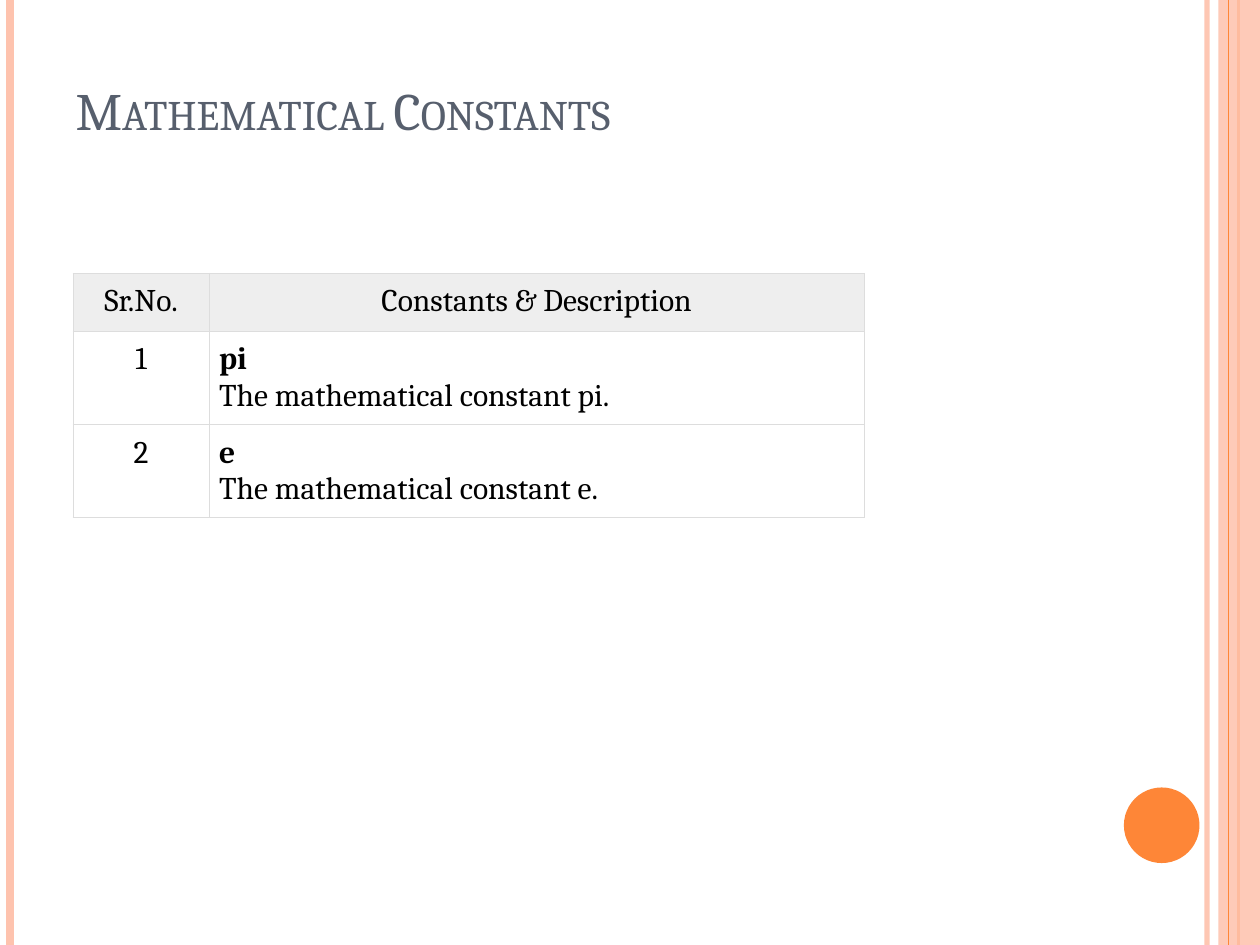
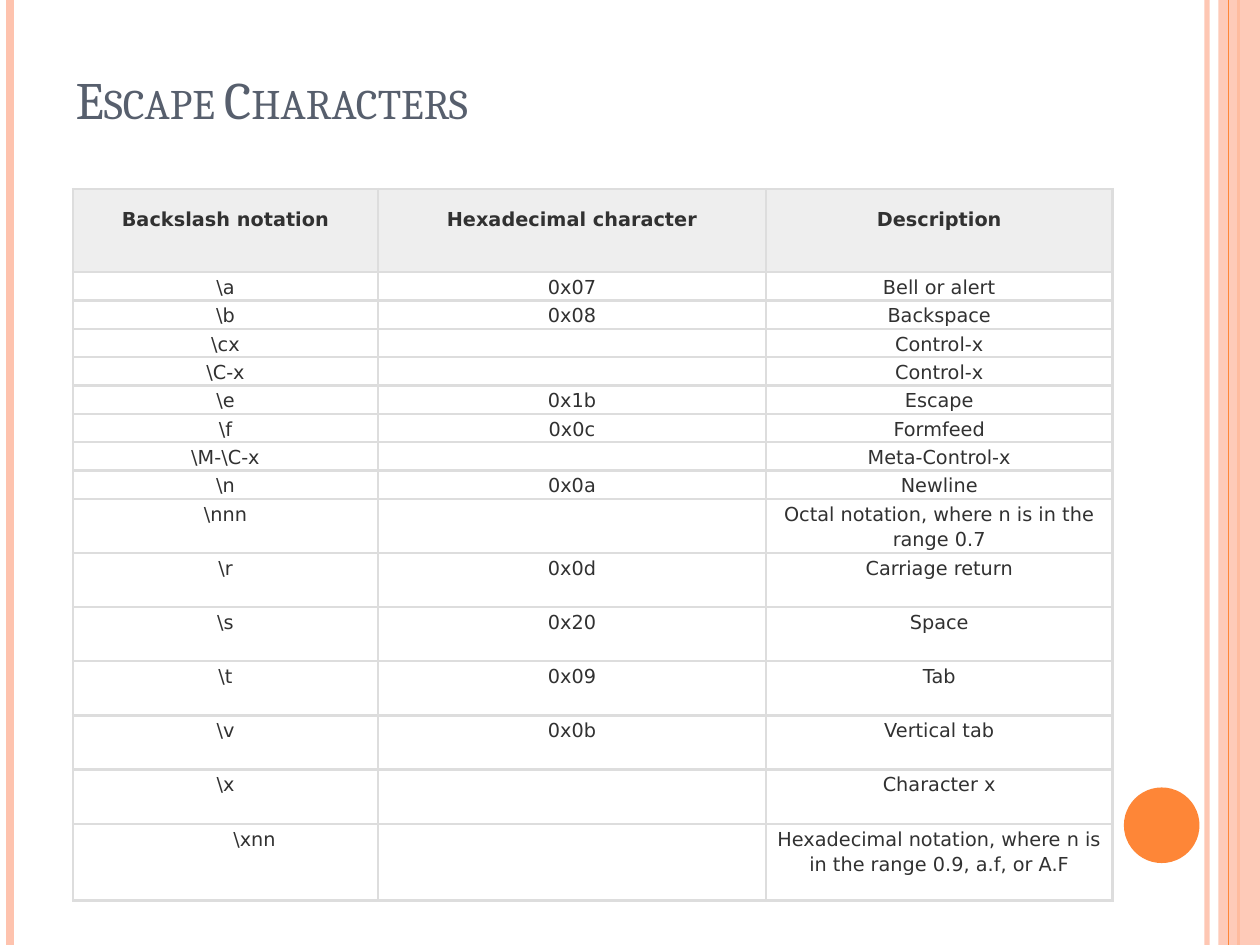
from lxml.etree import SubElement
from pptx import Presentation
from pptx.dml.color import RGBColor
from pptx.enum.shapes import MSO_CONNECTOR, MSO_SHAPE
from pptx.enum.text import MSO_ANCHOR, MSO_AUTO_SIZE, PP_ALIGN
from pptx.oxml.ns import qn
from pptx.util import Inches, Pt

COLORS = {
    "title": "575F6D",
    "band": "FEC3AE",
    "accent": "FE8637",
    "header": "EEEEEE",
    "border": "DDDDDD",
    "black": "000000",
    "body": "313131",
}
SERIF = "Cambria"
SANS = "DejaVu Sans"

CONSTANTS = [
    ("Sr.No.", "Constants & Description"),
    ("1", ["pi", "The mathematical constant pi."]),
    ("2", ["e", "The mathematical constant e."]),
]

ESCAPES = [
    ("Backslash notation", "Hexadecimal character", "Description"),
    (r"\a", "0x07", "Bell or alert"),
    (r"\b", "0x08", "Backspace"),
    (r"\cx", "", "Control-x"),
    (r"\C-x", "", "Control-x"),
    (r"\e", "0x1b", "Escape"),
    (r"\f", "0x0c", "Formfeed"),
    (r"\M-\C-x", "", "Meta-Control-x"),
    (r"\n", "0x0a", "Newline"),
    (r"\nnn", "", "Octal notation, where n is in the range 0.7"),
    (r"\r", "0x0d", "Carriage return"),
    (r"\s", "0x20", "Space"),
    (r"\t", "0x09", "Tab"),
    (r"\v", "0x0b", "Vertical tab"),
    (r"\x", "", "Character x"),
    (r"\xnn", "", "Hexadecimal notation, where n is in the range 0.9, a.f, or A.F"),
]


def rgb(name):
    return RGBColor.from_string(COLORS[name])


def set_opacity(sp, percent):
    """Make every solid colour of a shape or line partly transparent."""
    for color in sp.element.spPr.iter(qn("a:srgbClr")):
        SubElement(color, qn("a:alpha"), val=str(percent * 1000))


class Deck:
    """Holds the shared style and the slide being built."""

    def __init__(self):
        self.prs = Presentation()
        self.prs.slide_width, self.prs.slide_height = Inches(10), Inches(7.5)
        self.layout = self.prs.slide_layouts[5]
        self.slide = None

    def add_slide(self, title, title_height):
        first = self.slide is None
        self.slide = self.prs.slides.add_slide(self.layout)
        if first:
            self.decorate_layout()
        self.title(title, title_height)

    def decorate_layout(self):
        """Draw the side bands and the disc, then move them to the layout."""
        for sp in list(self.layout.placeholders)[1:]:
            sp.element.getparent().remove(sp.element)
        decor = [
            self.vertical_line(9.58, "band", 3, 93),
            self.vertical_line(0.08, "band", 4.5),
            self.vertical_line(9.83, "accent", 1.5),
            self.shape(MSO_SHAPE.RECTANGLE, 9.67, 0, 0.33, 7.5, "band", 87),
            self.vertical_line(9.75, "accent", 0.75),
            self.shape(MSO_SHAPE.OVAL, 8.92, 6.25, 0.6, 0.6, "accent"),
        ]
        for sp in decor:
            self.layout.shapes.element.append(sp.element)

    def vertical_line(self, x, color, width, opacity=100):
        line = self.slide.shapes.add_connector(
            MSO_CONNECTOR.STRAIGHT, Inches(x), 0, Inches(x), Inches(7.5))
        line.line.color.rgb = rgb(color)
        line.line.width = Pt(width)
        if opacity < 100:
            set_opacity(line, opacity)
        SubElement(line.element.spPr, qn("a:effectLst"))
        return line

    def shape(self, kind, x, y, w, h, color, opacity=100):
        sp = self.slide.shapes.add_shape(
            kind, Inches(x), Inches(y), Inches(w), Inches(h))
        sp.shadow.inherit = False
        sp.fill.solid()
        sp.fill.fore_color.rgb = rgb(color)
        sp.line.fill.background()
        if opacity < 100:
            set_opacity(sp, opacity)
        return sp

    def run(self, p, text, size, font, color, bold=False):
        r = p.add_run()
        r.text = text
        r.font.size, r.font.name, r.font.bold = Pt(size), font, bold
        r.font.color.rgb = rgb(color)
        return r

    def title(self, text, height):
        sp = self.slide.shapes.title
        sp.left, sp.top = Inches(0.5), Inches(0.3)
        sp.width, sp.height = Inches(8.17), Inches(height)
        tf = sp.text_frame
        tf.vertical_anchor = MSO_ANCHOR.BOTTOM
        tf.auto_size = MSO_AUTO_SIZE.NONE
        p = tf.paragraphs[0]
        p.alignment = PP_ALIGN.LEFT
        r = self.run(p, text, 30, SERIF, "title")
        r._r.get_or_add_rPr().set("cap", "small")

    def table(self, rows, top, widths, heights, border, inset, text_style,
              header_inset=None, bold_header=False, line_spacing=None, space_after=None):
        """Add a table; a list in a cell is a bold term followed by its explanation."""
        table = self.slide.shapes.add_table(
            len(rows), len(widths), Inches(0.58), Inches(top),
            Inches(sum(widths)), Inches(sum(heights))).table
        table.first_row = table.horz_banding = False
        for column, width in zip(table.columns, widths):
            column.width = Inches(width)
        for i, (row, height) in enumerate(zip(rows, heights)):
            table.rows[i].height = Inches(height)
            margin = header_inset if i == 0 and header_inset else inset
            for j, content in enumerate(row):
                cell = table.cell(i, j)
                cell.margin_left = cell.margin_right = Inches(margin)
                cell.margin_top = cell.margin_bottom = Inches(margin)
                self.cell_borders(cell, border)
                if i == 0:
                    cell.fill.solid()
                    cell.fill.fore_color.rgb = rgb("header")
                else:
                    cell.fill.background()
                is_term = isinstance(content, list)
                lines = content if is_term else [content]
                tf = cell.text_frame
                for k, text in enumerate(lines):
                    p = tf.add_paragraph() if k else tf.paragraphs[0]
                    p.alignment = PP_ALIGN.JUSTIFY if is_term else PP_ALIGN.CENTER
                    p.line_spacing = line_spacing
                    if space_after:
                        p.space_after = Pt(space_after)
                    bold = k == 0 if is_term else bold_header and i == 0
                    if text:
                        self.run(p, text, *text_style, bold)
                    else:
                        SubElement(p._p, qn("a:endParaRPr"), sz=str(text_style[0] * 100))
        return table

    def cell_borders(self, cell, width):
        tcPr = cell._tc.get_or_add_tcPr()
        for side in ("a:lnL", "a:lnR", "a:lnT", "a:lnB"):
            ln = SubElement(tcPr, qn(side), w=str(Pt(width)))
            fill = SubElement(ln, qn("a:solidFill"))
            SubElement(fill, qn("a:srgbClr"), val=COLORS["border"])


def main():
    deck = Deck()

    deck.add_slide("Mathematical Constants", 0.87)
    deck.table(CONSTANTS, 2.17, [1.08, 5.2], [0.46, 0.74, 0.74],
               border=0.75, inset=0.08, text_style=(18, SERIF, "black"))

    deck.add_slide("Escape Characters", 0.78)
    heights = [0.66] + [0.22] * 8 + [0.42] + [0.43] * 5 + [0.61]
    escapes = deck.table(ESCAPES, 1.5, [2.42, 3.08, 2.75], heights,
                         border=1.5, inset=0.01, text_style=(11, SANS, "body"),
                         header_inset=0.13, bold_header=True,
                         line_spacing=1.15, space_after=25.7)
    escapes.cell(len(ESCAPES) - 1, 0).margin_left = Inches(0.47)

    deck.prs.save("out.pptx")


if __name__ == "__main__":
    main()
